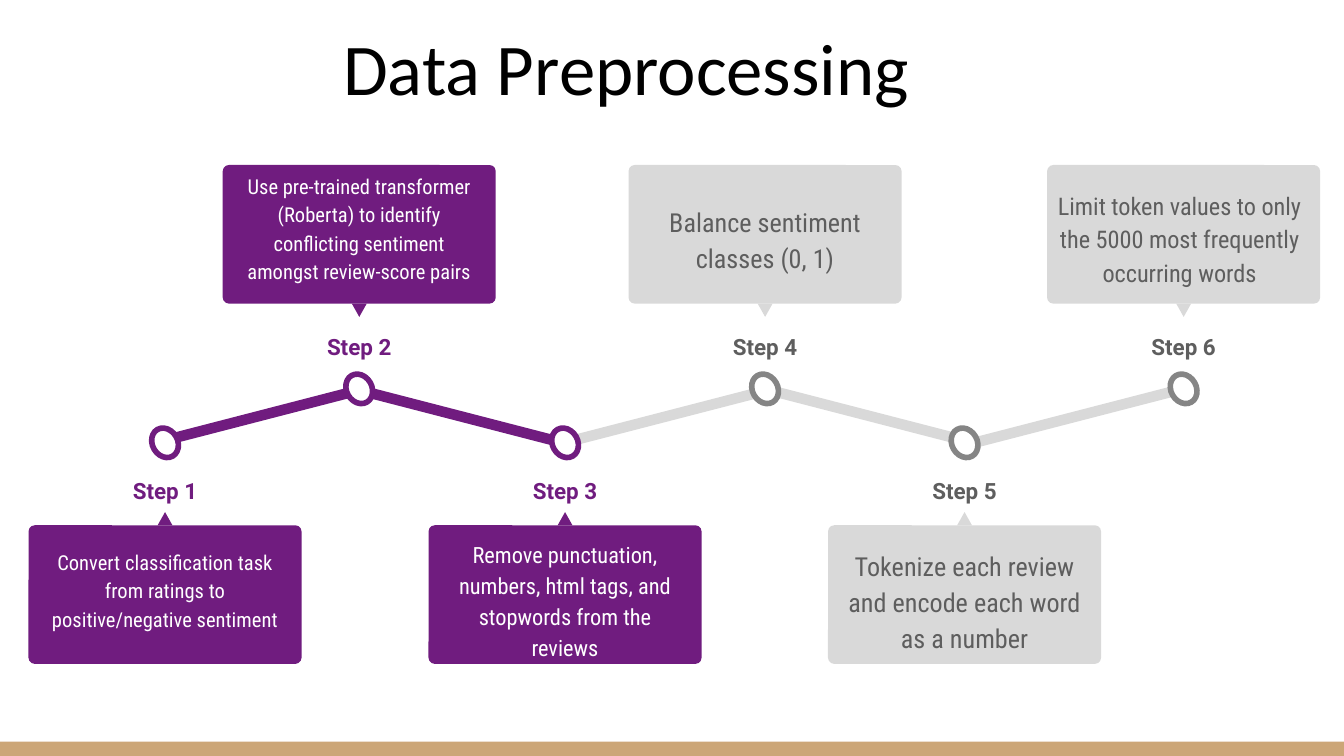
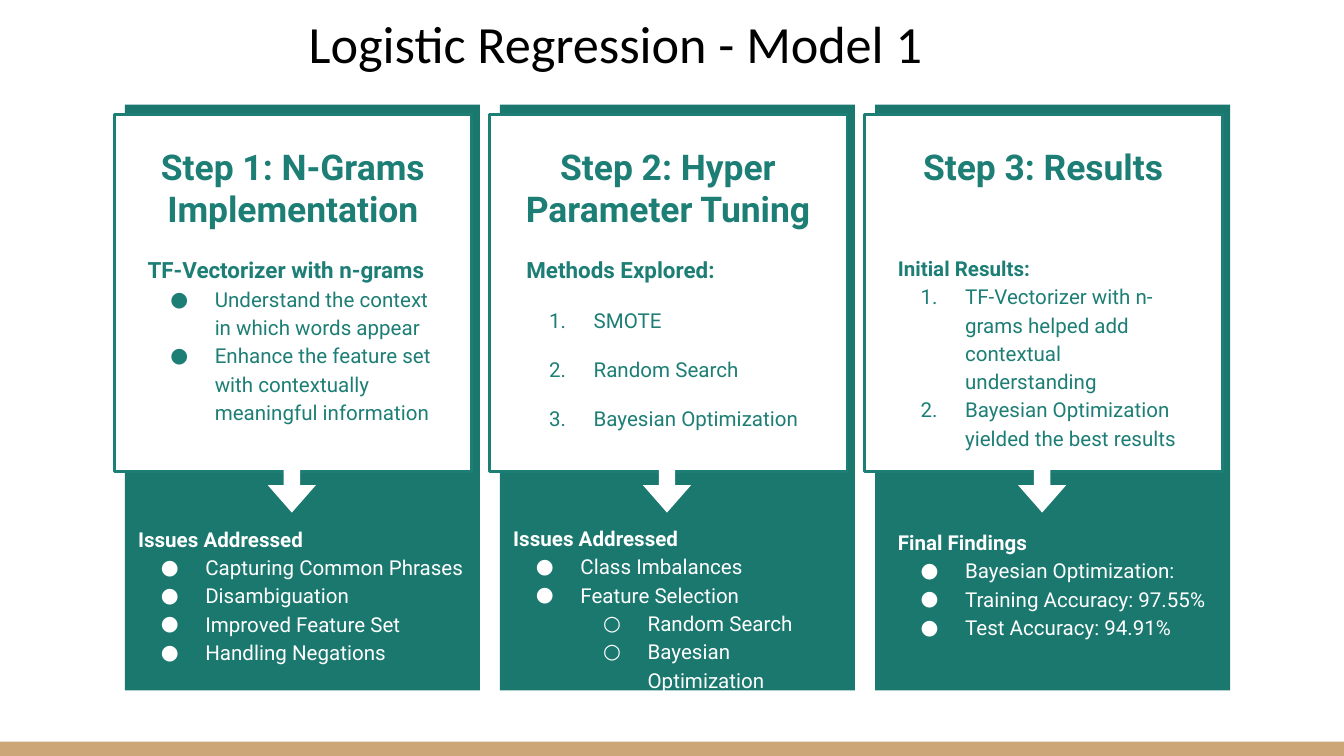
"""Build a two-slide deck on review preprocessing and a regression model."""
from dataclasses import dataclass

from lxml import etree
from pptx import Presentation
from pptx.dml.color import RGBColor
from pptx.enum.shapes import MSO_SHAPE
from pptx.enum.text import MSO_ANCHOR, PP_ALIGN
from pptx.oxml.ns import qn
from pptx.util import Cm, Pt

RECTANGLE, ROUNDED = MSO_SHAPE.RECTANGLE, MSO_SHAPE.ROUNDED_RECTANGLE
OVAL, TRIANGLE, ARROW = MSO_SHAPE.OVAL, MSO_SHAPE.ISOSCELES_TRIANGLE, MSO_SHAPE.RIGHT_ARROW
TOP, MIDDLE, BOTTOM = MSO_ANCHOR.TOP, MSO_ANCHOR.MIDDLE, MSO_ANCHOR.BOTTOM
LEFT, CENTER = PP_ALIGN.LEFT, PP_ALIGN.CENTER


@dataclass(frozen=True)
class Tone:
    fill: str
    ring: str
    label: str
    words: str


@dataclass(frozen=True)
class Theme:
    black: str = "000000"
    white: str = "FFFFFF"
    band: str = "CCA677"
    panel: str = "1B786F"
    teal: str = "1D7E75"
    done: Tone = Tone("701C7F", "701C7F", "701C7F", "FFFFFF")
    planned: Tone = Tone("D9D9D9", "858585", "5E5E5E", "5E5E5E")
    title_font: str = "Calibri"
    body_font: str = "Roboto"
    card_font: str = "Roboto Condensed"
    title_size: int = 39
    small_title_size: int = 28
    heading_size: int = 19
    label_size: int = 12
    list_size: int = 11
    spacing: float = 1.15


@dataclass(frozen=True)
class Step:
    center: float
    tone: Tone
    words: str
    size: int
    text_top: float
    text_width: float = 4.9
    text_shift: float = 0


@dataclass(frozen=True)
class Panel:
    heading: str
    lead: str
    items: list
    lead_size: int
    lead_shift: float
    item_spacing: float
    marker: str
    result: str
    result_items: list
    result_place: tuple
    result_anchor: MSO_ANCHOR


THEME = Theme()


class SlidePainter:
    """Hold the theme and the current slide, and draw elements on it."""

    def __init__(self, deck, theme):
        self.deck, self.theme, self.slide = deck, theme, None

    def start(self, title, place, size):
        self.slide = self.deck.slides.add_slide(self.deck.slide_layouts[6])
        self.shape(RECTANGLE, (0, 14.02, 25.4, 0.27), self.theme.band)
        line = self.line(title, size, self.theme.black, font=self.theme.title_font,
                         align=CENTER, spacing=1.0)
        self.text(place, [line], BOTTOM)

    def shape(self, kind, place, fill, line=None, width=1.5, turn=0, adjust=()):
        shape = self.slide.shapes.add_shape(kind, *map(Cm, place))
        shape.shadow.inherit = False
        shape.rotation = turn
        shape.fill.solid()
        shape.fill.fore_color.rgb = RGBColor.from_string(fill)
        if line:
            shape.line.color.rgb = RGBColor.from_string(line)
            shape.line.width = Pt(width)
        else:
            shape.line.fill.background()
        for index, value in enumerate(adjust):
            shape.adjustments[index] = value

    def line(self, words, size, color, bold=False, font=None, align=LEFT,
             spacing=None, marker=None, level=0):
        return {
            "words": words, "color": color, "marker": marker,
            "font": {"name": font or self.theme.body_font, "size": Pt(size), "bold": bold},
            "para": {"alignment": align, "level": level,
                     "line_spacing": spacing or self.theme.spacing},
        }

    def bullets(self, items, color, marker="●", spacing=None):
        lines = []
        for item in items:
            level = int(isinstance(item, tuple))
            lines.append(self.line(item[0] if level else item, self.theme.list_size, color,
                                   marker="○" if level else marker,
                                   level=level, spacing=spacing))
        return lines

    def text(self, place, lines, anchor=TOP):
        frame = self.slide.shapes.add_textbox(*map(Cm, place)).text_frame
        margins = {f"margin_{side}": Cm(0.25) for side in ("left", "right", "top", "bottom")}
        for name, value in {"word_wrap": True, "vertical_anchor": anchor, **margins}.items():
            setattr(frame, name, value)
        for index, line in enumerate(lines):
            para = frame.add_paragraph() if index else frame.paragraphs[0]
            span = para.add_run()
            span.text = line["words"]
            for target, values in ((para, line["para"]), (span.font, line["font"])):
                for name, value in values.items():
                    setattr(target, name, value)
            span.font.color.rgb = RGBColor.from_string(line["color"])
            if line["marker"]:
                self.mark(para, line["marker"], line["color"])

    def mark(self, para, marker, color):
        properties = para._p.get_or_add_pPr()
        properties.set("marL", str(Cm(1.27 * (para.level + 1))))
        properties.set("indent", str(-Cm(0.84)))
        tint = etree.SubElement(properties, qn("a:buClr"))
        etree.SubElement(tint, qn("a:srgbClr"), val=color)
        etree.SubElement(properties, qn("a:buFont"), typeface=self.theme.body_font)
        if marker == "1.":
            etree.SubElement(properties, qn("a:buAutoNum"), type="arabicPeriod")
        else:
            etree.SubElement(properties, qn("a:buChar"), char=marker)

    def segment(self, left, rising, tone):
        self.shape(ROUNDED, (left, 7.77, 4.11, 0.2), tone.fill,
                   turn=345.5 if rising else 14.5, adjust=[0.5])

    def step(self, number, step):
        upper = number % 2 == 0
        card, pointer, label, dot = (3.12, 5.74, 5.97, 7.06) if upper else (9.93, 9.68, 8.69, 8.08)
        tone, center = step.tone, step.center
        self.shape(OVAL, (center - 0.24, dot, 0.48, 0.58), self.theme.white,
                   tone.ring, width=3, turn=330.2)
        self.text((center - 1.05, label, 2.1, 1.02),
                  [self.line(f"Step {number}", self.theme.label_size, tone.label,
                             bold=True, align=CENTER)])
        self.shape(ROUNDED, (center - 2.58, card, 5.16, 2.62), tone.fill, adjust=[0.045])
        self.shape(TRIANGLE, (center - 0.14, pointer, 0.28, 0.25), tone.fill,
                   turn=180 if upper else 0)
        left = center - step.text_width / 2 + step.text_shift
        self.text((left, step.text_top, step.text_width, 2.31),
                  [self.line(step.words, step.size, tone.words,
                             font=self.theme.card_font, align=CENTER)])

    def panel(self, left, panel):
        theme = self.theme
        self.shape(RECTANGLE, (left, 1.98, 6.71, 11.07), theme.panel)
        self.shape(RECTANGLE, (left - 0.2, 2.16, 6.76, 6.76), theme.white, theme.teal)
        self.text((left + 0.18, 2.49, 5.99, 1.83),
                  [self.line(panel.heading, theme.heading_size, theme.teal,
                             bold=True, align=CENTER, spacing=1.0)])
        self.text((left + panel.lead_shift, 4.52, 5.99, 3.96),
                  [self.line(panel.lead, panel.lead_size, theme.teal, bold=True)]
                  + self.bullets(panel.items, theme.teal, panel.marker, panel.item_spacing))
        self.shape(ARROW, (left + 2.63, 8.71, 1.05, 0.91), theme.white,
                   turn=90, adjust=[0.342, 0.57])
        shift, *place = panel.result_place
        self.text((left + shift, *place),
                  [self.line(panel.result, theme.list_size, theme.white, bold=True)]
                  + self.bullets(panel.result_items, theme.white), panel.result_anchor)


STEPS = [
    Step(3.12, THEME.done,
         "Convert classification task from ratings to positive/negative sentiment", 11, 10.08),
    Step(6.79, THEME.done,
         "Use pre-trained transformer (Roberta) to identify conflicting sentiment "
         "amongst review-score pairs", 11, 2.97),
    Step(10.68, THEME.done,
         "Remove punctuation, numbers, html tags, and stopwords from the reviews", 12, 9.91),
    Step(14.46, THEME.planned, "Balance sentiment classes (0, 1)", 14, 3.56),
    Step(18.23, THEME.planned,
         "Tokenize each review and encode each word as a number", 14, 10.06),
    Step(22.37, THEME.planned,
         "Limit token values to only the 5000 most frequently occurring words",
         13, 3.28, 5.16, -0.08),
]
SEGMENT_LEFTS = [2.82, 6.65, 10.54, 14.4, 18.29]

PANELS = [
    Panel("Step 1: N-Grams Implementation", "TF-Vectorizer with n-grams",
          ["Understand the context in which words appear",
           "Enhance the feature set with contextually meaningful information"],
          12, 0.18, 1.15, "●", "Issues Addressed",
          ["Capturing Common Phrases", "Disambiguation", "Improved Feature Set",
           "Handling Negations"], (0, 9.7, 6.71, 3.05), MIDDLE),
    Panel("Step 2: Hyper Parameter Tuning", "Methods Explored:",
          ["SMOTE", "Random Search", "Bayesian Optimization"],
          12, 0.25, 2.0, "1.", "Issues Addressed",
          ["Class Imbalances", "Feature Selection", ("Random Search",),
           ("Bayesian Optimization",)], (0, 10.26, 6.71, 2.44), MIDDLE),
    Panel("Step 3: Results", "Initial Results:",
          ["TF-Vectorizer with n-grams helped add contextual understanding",
           "Bayesian Optimization yielded the best results"],
          11, 0.18, 1.15, "1.", "Final Findings",
          ["Bayesian Optimization:", "Training Accuracy: 97.55%", "Test Accuracy: 94.91%"],
          (0.18, 9.7, 6.32, 2.95), TOP),
]


def main():
    deck = Presentation()
    deck.slide_width, deck.slide_height = Cm(25.4), Cm(14.29)
    painter = SlidePainter(deck, THEME)

    painter.start("Data Preprocessing", (0, 0.18, 23.67, 2.16), THEME.title_size)
    for index, left in enumerate(SEGMENT_LEFTS):
        painter.segment(left, index % 2 == 0, STEPS[index + 1].tone)
    for number, step in enumerate(STEPS, 1):
        painter.step(number, step)

    painter.start("Logistic Regression - Model 1", (1.19, 0.15, 20.88, 1.5),
                  THEME.small_title_size)
    for index, panel in enumerate(PANELS):
        painter.panel(2.36 + 7.09 * index, panel)

    deck.save("out.pptx")


if __name__ == "__main__":
    main()
